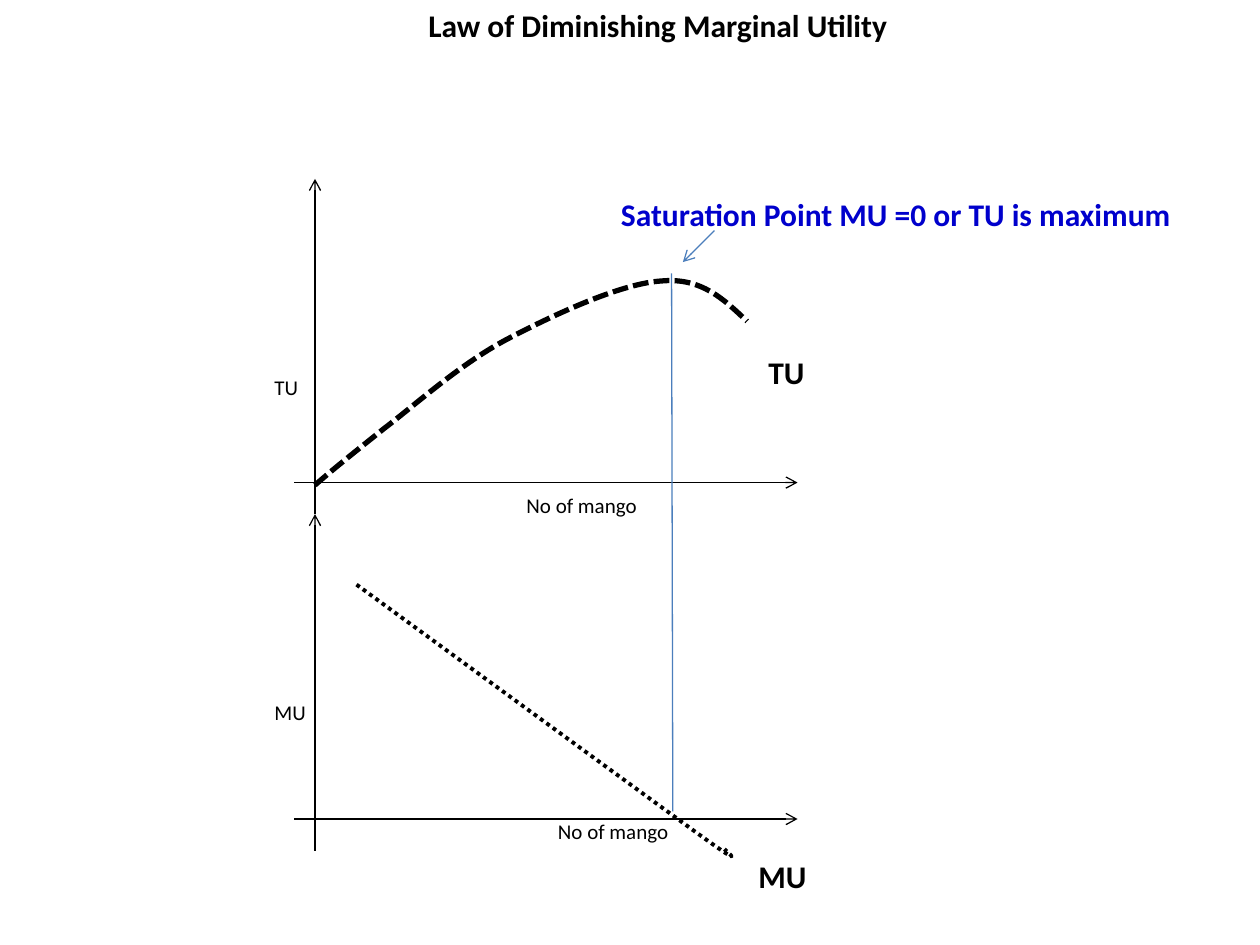
from dataclasses import dataclass

from lxml.etree import SubElement
from pptx import Presentation
from pptx.dml.color import RGBColor
from pptx.enum.dml import MSO_LINE
from pptx.enum.shapes import MSO_CONNECTOR
from pptx.enum.text import MSO_AUTO_SIZE, PP_ALIGN
from pptx.oxml.ns import qn
from pptx.util import Pt

EMU_PER_PX = 9144


def px(length):
    return length * EMU_PER_PX


@dataclass(frozen=True)
class Theme:
    font: str = "Calibri"
    ink: str = "000000"
    highlight: str = "0000CC"
    guide: str = "4B7EBC"
    heading_size: int = 18
    label_size: int = 12
    thin: float = 0.75
    medium: float = 2.25
    thick: float = 3


class DiagramSlide:
    def __init__(self, slide, theme):
        self.slide = slide
        self.theme = theme

    def text(self, left, top, width, height, wording, size, bold=False, color=None, centered=False):
        box = self.slide.shapes.add_textbox(px(left), px(top), px(width), px(height))
        frame = box.text_frame
        frame.word_wrap = True
        frame.auto_size = MSO_AUTO_SIZE.SHAPE_TO_FIT_TEXT
        paragraph = frame.paragraphs[0]
        if centered:
            paragraph.alignment = PP_ALIGN.CENTER
        run = paragraph.add_run()
        run.text = wording
        run.font.name = self.theme.font
        run.font.size = Pt(size)
        run.font.bold = bold
        run.font.color.rgb = RGBColor.from_string(color or self.theme.ink)
        return paragraph

    def heading(self, left, top, width, wording, color=None, centered=False):
        return self.text(left, top, width, 40, wording, self.theme.heading_size, True, color, centered)

    def label(self, left, top, width, wording):
        return self.text(left, top, width, 30, wording, self.theme.label_size)

    def stroke(self, line, color, weight, dash=None):
        line.color.rgb = RGBColor.from_string(color)
        line.width = Pt(weight)
        if dash is not None:
            line.dash_style = dash

    def line(self, start, end, color, arrow=None):
        connector = self.slide.shapes.add_connector(
            MSO_CONNECTOR.STRAIGHT, *map(px, start), *map(px, end)
        )
        self.stroke(connector.line, color, self.theme.thin)
        properties = connector._element.spPr
        if arrow:
            SubElement(properties.find(qn("a:ln")), qn(arrow), type="arrow")
        SubElement(properties, qn("a:effectLst"))

    def curve(self, start, bends, weight, dash, straight_to=()):
        builder = self.slide.shapes.build_freeform(*start, scale=EMU_PER_PX)
        builder.add_line_segments([*straight_to, *bends], close=False)
        outline = builder.convert_to_shape()
        outline.shadow.inherit = False
        outline.fill.background()
        self.stroke(outline.line, self.theme.ink, weight, dash)
        track = outline._element.spPr.find(".//" + qn("a:path"))
        segments = track.findall(qn("a:lnTo"))[len(straight_to):]
        for first in range(0, len(segments), 3):
            bezier = SubElement(track, qn("a:cubicBezTo"))
            for segment in segments[first:first + 3]:
                bezier.append(segment[0])
                track.remove(segment)

    def axes(self, top, base, bottom):
        self.line((250, top), (250, bottom), self.theme.ink, "a:headEnd")
        self.line((633, base), (233, base), self.theme.ink, "a:headEnd")


def main():
    theme = Theme()
    presentation = Presentation()
    presentation.slide_width = px(1000)
    presentation.slide_height = px(750)
    diagram = DiagramSlide(presentation.slides.add_slide(presentation.slide_layouts[6]), theme)

    title = diagram.heading(0, 0, 1000, "Law of Diminishing Marginal Utility ", centered=True)
    indents = title._p.get_or_add_pPr()
    indents.set("marL", str(px(51)))
    indents.set("indent", str(px(-1)))

    for top, base, bottom in ((142, 383, 408), (408, 650, 675)):
        diagram.axes(top, base, bottom)

    total_utility = [
        (265, 372), (280, 360), (305, 340),
        (330, 321), (364, 290), (401, 270),
        (437, 251), (492, 225), (525, 223),
        (557, 220), (575, 238), (593, 255),
    ]
    diagram.curve((250, 385), total_utility, theme.thick, MSO_LINE.SQUARE_DOT)
    diagram.line((533, 217), (534, 644), theme.guide)
    marginal_utility_end = [(590, 688), (583, 681), (575, 674)]
    diagram.curve(
        (283, 464), marginal_utility_end, theme.medium, MSO_LINE.ROUND_DOT, straight_to=[(542, 653)]
    )

    diagram.heading(600, 275, 59, "TU")
    diagram.heading(592, 675, 59, "MU")
    diagram.heading(483, 150, 467, "Saturation Point MU =0 or TU is maximum", theme.highlight)
    diagram.line((567, 183), (542, 208), theme.guide, "a:tailEnd")

    for left, top, width, wording in (
        (208, 292, 58, "TU"),
        (208, 550, 58, "MU"),
        (408, 386, 117, "No of mango"),
        (433, 645, 117, "No of mango"),
    ):
        diagram.label(left, top, width, wording)

    presentation.save("out.pptx")


if __name__ == "__main__":
    main()
